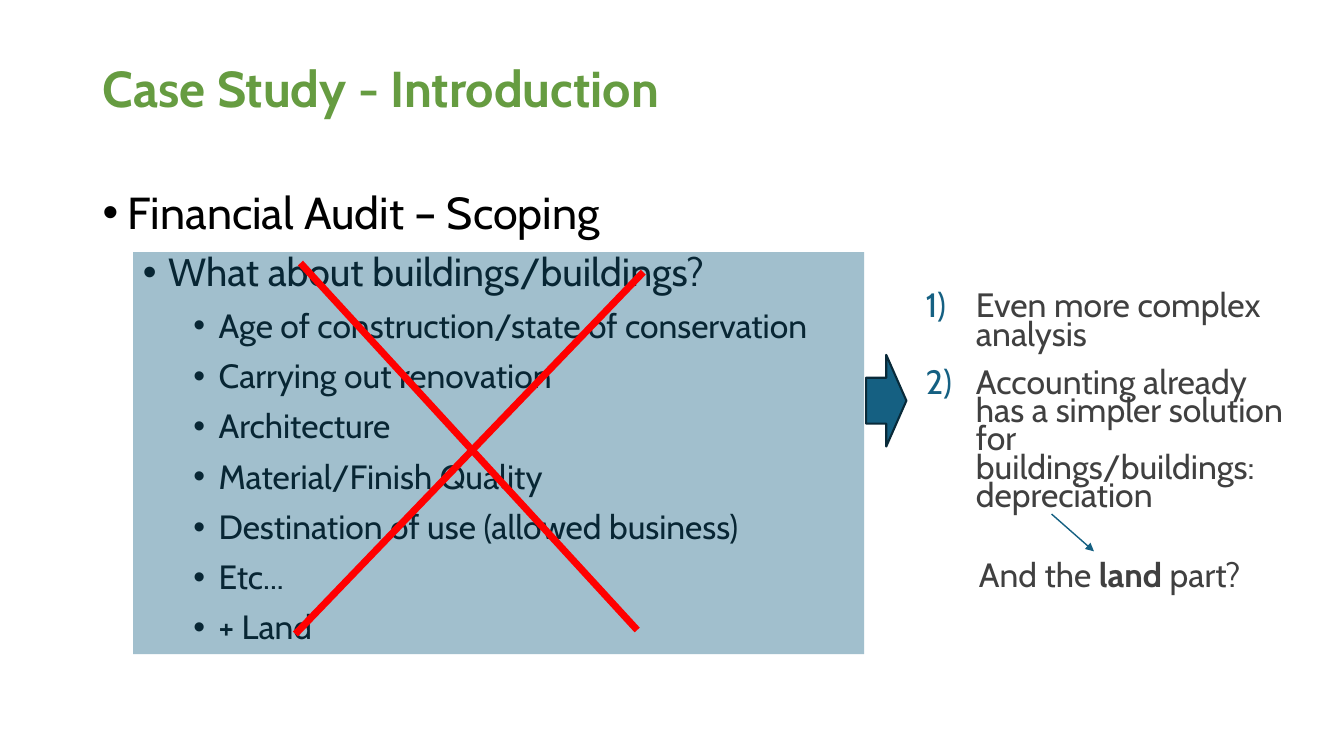
import pptx
import pptx.util
import pptx.dml.color
import pptx.enum.shapes
import pptx.enum.text
import pptx.oxml.ns
import lxml.etree

Inches, Pt = pptx.util.Inches, pptx.util.Pt
SHAPE = pptx.enum.shapes.MSO_SHAPE
ANCHOR = pptx.enum.text.MSO_ANCHOR
qn = pptx.oxml.ns.qn

FONT = "Cabin"
COLORS = {"title": "669C41", "text": "000000", "gray": "404040",
          "blue": "156082", "edge": "092A39", "cross": "FF0000"}

TITLE = "Case Study - Introduction"
# text, size, left margin in inches
TOPICS = [("Financial Audit – Scoping", 32, 0.25),
          ("What about buildings/buildings?", 28, 0.65)]
TOPICS += [(text, 24, 1.15) for text in (
    "Age of construction/state of conservation",
    "Carrying out renovation",
    "Architecture",
    "Material/Finish Quality",
    "Destination of use (allowed business)",
    "Etc...",
    "+ Land")]
REASONS = [
    "Even more complex analysis",
    "Accounting already has a simpler solution for buildings/buildings: depreciation"]
QUESTION = [("And the ", False), ("land", True), (" part?", False)]
CROSS = [(2.98, 2.61, 6.32, 6.25), (6.38, 2.7, 2.93, 6.29)]


def rgb(name):
    return pptx.dml.color.RGBColor.from_string(COLORS[name])


def add_text_box(slide, *box):
    tf = slide.shapes.add_textbox(*map(Inches, box)).text_frame
    tf.word_wrap = True
    return tf


def add_run(p, text, size, color, bold=False):
    r = p.add_run()
    r.text = text
    r.font.name, r.font.size, r.font.bold = FONT, Pt(size), bold
    r.font.color.rgb = rgb(color)


def add_item(tf, index, margin, hanging, line_spacing, bullet, **attrs):
    """Return a new list paragraph; the first one has no space before."""
    p = tf.paragraphs[0] if index == 0 else tf.add_paragraph()
    pPr = p._p.get_or_add_pPr()
    pPr.set("marL", str(Inches(margin)))
    pPr.set("indent", str(-Inches(hanging)))
    if bullet == "buAutoNum":
        clr = lxml.etree.SubElement(pPr, qn("a:buClr"))
        lxml.etree.SubElement(clr, qn("a:srgbClr"), val=COLORS["blue"])
    else:
        lxml.etree.SubElement(pPr, qn("a:buFont"), typeface="Arial")
    lxml.etree.SubElement(pPr, qn("a:" + bullet), **attrs)
    p.line_spacing = line_spacing
    if index:
        p.space_before = Pt(10)
    return p


def add_shape(slide, kind, box, color):
    sp = slide.shapes.add_shape(kind, *map(Inches, box))
    sp.shadow.inherit = False
    sp.fill.solid()
    sp.fill.fore_color.rgb = rgb(color)
    return sp


def add_line(slide, ends, color, width):
    line = slide.shapes.add_connector(
        pptx.enum.shapes.MSO_CONNECTOR.STRAIGHT, *map(Inches, ends))
    line.line.color.rgb = rgb(color)
    line.line.width = Pt(width)
    lxml.etree.SubElement(line._element.spPr, qn("a:effectLst"))
    return line


def main():
    prs = pptx.Presentation()
    prs.slide_width, prs.slide_height = Inches(13.33), Inches(7.5)
    slide = prs.slides.add_slide(prs.slide_layouts[6])

    tf = add_text_box(slide, 0.92, 0.4, 11.5, 1.01)
    tf.vertical_anchor = ANCHOR.MIDDLE
    tf.paragraphs[0].line_spacing = 0.9
    add_run(tf.paragraphs[0], TITLE, 36, "title", True)

    tf = add_text_box(slide, 0.92, 1.84, 11.5, 4.91)
    for i, (text, size, margin) in enumerate(TOPICS):
        p = add_item(tf, i, margin, 0.25, 0.9, "buChar", char="•")
        add_run(p, text, size, "text")

    veil = add_shape(slide, SHAPE.RECTANGLE, (1.32, 2.5, 7.25, 3.99), "blue")
    veil.line.fill.background()
    veil_color = veil._element.spPr.find(".//" + qn("a:srgbClr"))
    lxml.etree.SubElement(veil_color, qn("a:alpha"), val="40000")
    for ends in CROSS:
        add_line(slide, ends, "cross", 5)

    tf = add_text_box(slide, 8.93, 2.88, 3.84, 2.34)
    tf.margin_left = tf.margin_right = 0
    for i, text in enumerate(REASONS):
        p = add_item(tf, i, 0.75, 0.5, 0.7, "buAutoNum", type="arabicParenR")
        p.space_after = Pt(4)
        add_run(p, text, 24.1, "gray")

    pointer = add_line(slide, (10.43, 5.1, 10.85, 5.47), "blue", 1)
    lxml.etree.SubElement(pointer.line._get_or_add_ln(), qn("a:tailEnd"),
                          type="triangle")

    tf = add_text_box(slide, 9.61, 5.45, 3.42, 0.5)
    for text, bold in QUESTION:
        add_run(tf.paragraphs[0], text, 24, "gray", bold)

    arrow = add_shape(slide, SHAPE.RIGHT_ARROW, (8.59, 3.52, 0.4, 0.91), "blue")
    arrow.line.color.rgb = rgb("edge")
    arrow.line.width = Pt(1.5)

    prs.save("out.pptx")


if __name__ == "__main__":
    main()
